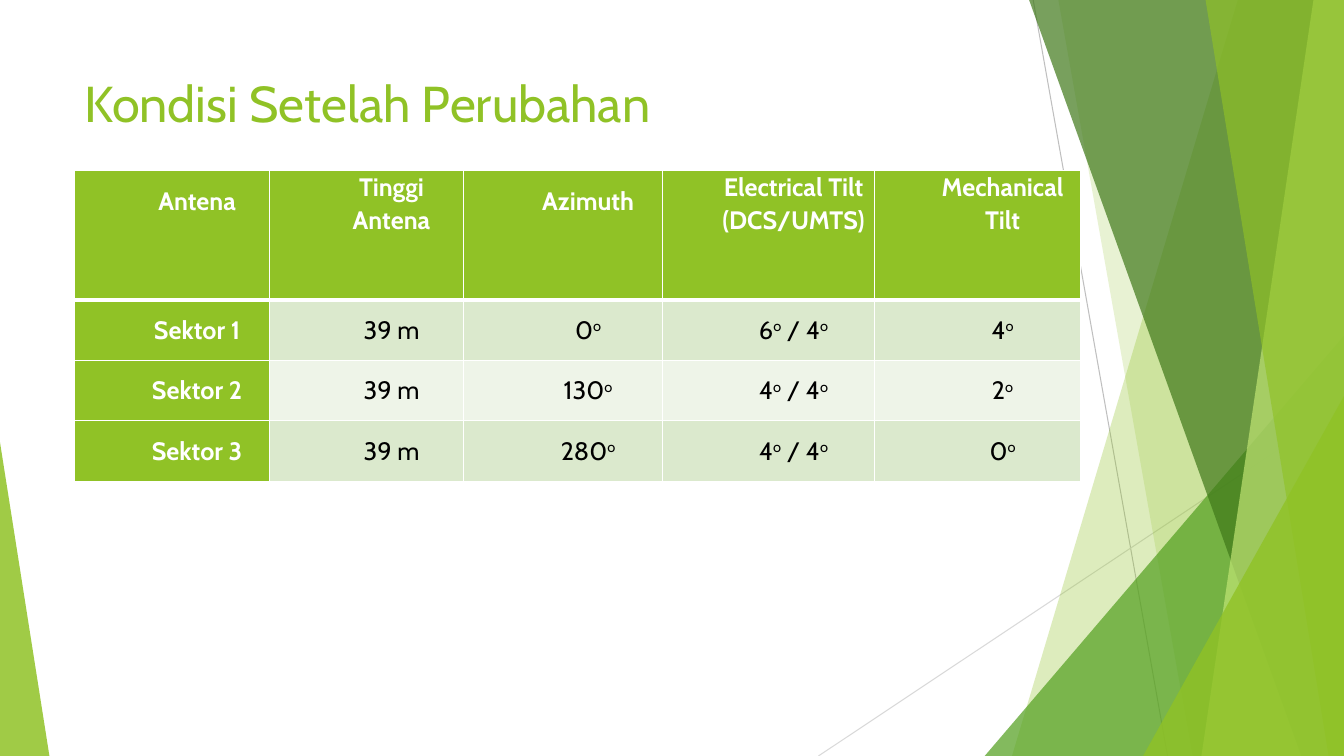
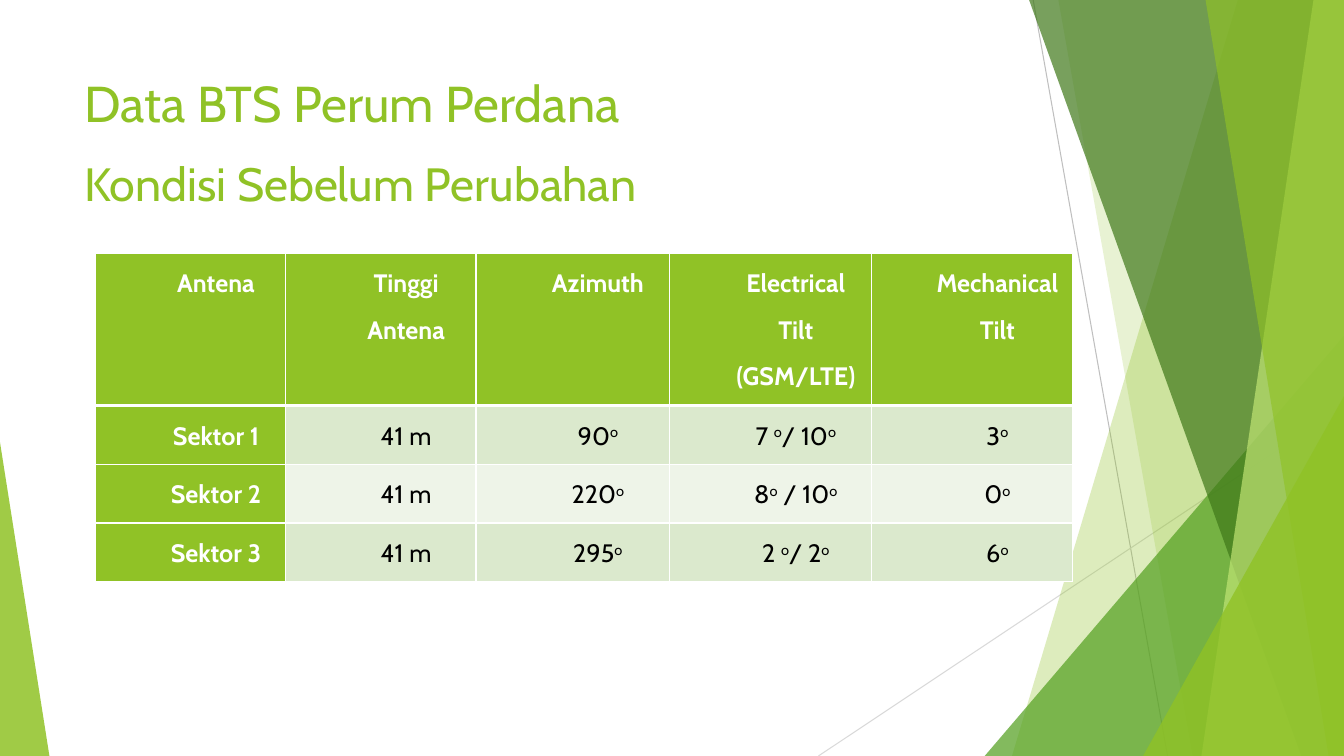
"""Build two slides of antenna settings before and after a change."""
from dataclasses import dataclass

from lxml.etree import SubElement
from pptx import Presentation
from pptx.dml.color import RGBColor
from pptx.enum.shapes import MSO_CONNECTOR as Connector, MSO_SHAPE as Preset
from pptx.enum.text import MSO_ANCHOR as Anchor, MSO_AUTO_SIZE as AutoSize, PP_ALIGN as Align
from pptx.oxml.ns import qn
from pptx.util import Pt


@dataclass(frozen=True)
class Theme:
    """Colours, font and type sizes."""
    font: str = "Cabin"
    green: str = "90C226"
    mid_green: str = "54A021"
    dark_green: str = "3F7819"
    light_green: str = "C0E474"
    white: str = "FFFFFF"
    black: str = "000000"
    stripes: tuple = ("DBE9CD", "EEF4E8")
    ray: str = "BFBFBF"
    pale_ray: str = "D9D9D9"
    title_size: float = 36
    subtitle_size: float = 33.3
    table_size: float = 18


@dataclass(frozen=True)
class Band:
    """A full-height band from the right edge to a slanted left side."""
    top_x: float
    bottom_x: float
    color: str
    opacity: int


@dataclass(frozen=True)
class Corner:
    """A right triangle standing on the bottom edge."""
    left: float
    top: float
    width: float
    peak: int
    color: str
    opacity: int


THEME = Theme()
WIDTH, HEIGHT = 960, 540
MARGIN = 53.3
DEGREE = "º"

RAYS = [
    ((738, 0), (834, HEIGHT), THEME.ray),
    ((WIDTH, 290), (584.6, HEIGHT), THEME.pale_ray),
]
FACETS = [
    Band(884.2, 722.9, THEME.green, 30),
    Band(756, 851.8, THEME.green, 20),
    Corner(703.4, 239.8, 256.6, 1, THEME.mid_green, 72),
    Band(735.1, 929.5, THEME.dark_green, 70),
    Band(938.2, 858.2, THEME.light_green, 70),
    Band(861.1, 949, THEME.green, 65),
    Corner(816.5, 283, 143.5, 1, THEME.green, 80),
    Corner(0, 316, 35.3, 0, THEME.green, 85),
]
SLIDES = [
    {
        "title": ("Kondisi Setelah Perubahan", 448.6, 52.6),
        "table_at": (MARGIN, 121.7),
        "columns": (139, 138.8, 142, 151.6, 147),
        "header_height": 92.4,
        "row_height": 43.2,
        "header_spacing": (1.5, 1.07, 1.5, 1.07, 1.07),
        "rows": [
            ("Antena", "Tinggi Antena", "Azimuth", "Electrical Tilt (DCS/UMTS)", "Mechanical Tilt"),
            ("Sektor 1", "39 m", "0º", "6º / 4º", "4º"),
            ("Sektor 2", "39 m", "130º", "4º / 4º", "2º"),
            ("Sektor 3", "39 m", "280º", "4º / 4º", "0º"),
        ],
    },
    {
        "title": ("Data BTS Perum Perdana", 437.8, 59),
        "subtitle": "Kondisi Sebelum Perubahan",
        "table_at": (68.4, 180.9),
        "columns": (135.8, 135.8, 138.2, 144.6, 143.4),
        "header_height": 108.7,
        "row_height": 42,
        "header_spacing": (1.5,) * 5,
        "rows": [
            ("Antena", "Tinggi Antena", "Azimuth", "Electrical Tilt (GSM/LTE)", "Mechanical Tilt"),
            ("Sektor 1", "41 m", "90º", "7 º/ 10º", "3º"),
            ("Sektor 2", "41 m", "220º", "8º / 10º", "0º"),
            ("Sektor 3", "41 m", "295º", "2 º/ 2º", "6º"),
        ],
    },
]


def style_font(font, size, color, bold=False):
    font.name, font.size, font.bold = THEME.font, Pt(size), bold
    font.color.rgb = RGBColor.from_string(color)


def paint(shape, color, opacity):
    shape.shadow.inherit = False
    shape.line.fill.background()
    shape.fill.solid()
    shape.fill.fore_color.rgb = RGBColor.from_string(color)
    tint = shape.element.spPr.find(qn("a:solidFill"))[0]
    SubElement(tint, qn("a:alpha")).set("val", str(opacity * 1000))


def draw_ray(shapes, start, end, color):
    ray = shapes.add_connector(Connector.STRAIGHT, *map(Pt, start + end))
    ray.line.color.rgb = RGBColor.from_string(color)
    ray.line.width = Pt(0.75)
    SubElement(ray.element.spPr, qn("a:effectLst"))
    return ray


def draw_facet(shapes, facet):
    if isinstance(facet, Band):
        outline = shapes.build_freeform(Pt(facet.top_x), 0)
        corners = [(WIDTH, 0), (WIDTH, HEIGHT), (facet.bottom_x, HEIGHT)]
        outline.add_line_segments([(Pt(x), Pt(y)) for x, y in corners])
        shape = outline.convert_to_shape()
    else:
        box = (facet.left, facet.top, facet.width, HEIGHT - facet.top)
        shape = shapes.add_shape(Preset.ISOSCELES_TRIANGLE, *map(Pt, box))
        shape.adjustments[0] = facet.peak
    paint(shape, facet.color, facet.opacity)
    return shape


def decorate_layout(layout, shapes):
    """Draw the backdrop and hand it to the layout that all slides use."""
    for placeholder in list(layout.placeholders):
        if placeholder.placeholder_format.idx:
            layout.shapes.element.remove(placeholder.element)
    backdrop = [draw_ray(shapes, *ray) for ray in RAYS]
    backdrop += [draw_facet(shapes, facet) for facet in FACETS]
    for part in backdrop:
        layout.shapes.element.append(part.element)


def write_heading(heading, text, box, size):
    heading.left, heading.top, heading.width, heading.height = map(Pt, box)
    frame = heading.text_frame
    frame.text = text
    frame.word_wrap = True
    frame.auto_size = AutoSize.NONE
    frame.vertical_anchor = Anchor.TOP
    paragraph = frame.paragraphs[0]
    paragraph.alignment = Align.LEFT
    style_font(paragraph.font, size, THEME.green)


def set_borders(cell, top, bottom):
    properties = cell._tc.get_or_add_tcPr()
    widths = {"a:lnL": 1, "a:lnR": 1, "a:lnT": top, "a:lnB": bottom}
    for position, (side, width) in enumerate(widths.items()):
        border = SubElement(properties, qn(side))
        border.set("w", str(Pt(width)))
        fill = SubElement(border, qn("a:solidFill"))
        SubElement(fill, qn("a:srgbClr")).set("val", THEME.white)
        properties.insert(position, border)


def write_cell(cell, text, fill, color, bold, spacing):
    cell.margin_left = cell.margin_right = Pt(5.4)
    cell.margin_top = cell.margin_bottom = 0
    cell.vertical_anchor = Anchor.TOP
    cell.fill.solid()
    cell.fill.fore_color.rgb = RGBColor.from_string(fill)
    paragraph = cell.text_frame.paragraphs[0]
    paragraph.alignment = Align.CENTER
    paragraph.line_spacing = spacing
    paragraph._p.get_or_add_pPr().set("marL", str(Pt(36)))
    style_font(paragraph.font, THEME.table_size, color, bold)
    for index, piece in enumerate(text.split(DEGREE)):
        if index:
            degree = paragraph.add_run()
            degree.text = "o"
            degree._r.get_or_add_rPr().set("baseline", "30000")
        if piece:
            paragraph.add_run().text = piece


def add_antenna_table(shapes, content):
    rows, columns = content["rows"], content["columns"]
    heights = [content["header_height"]] + [content["row_height"]] * (len(rows) - 1)
    box = (*content["table_at"], sum(columns), sum(heights))
    table = shapes.add_table(len(rows), len(columns), *map(Pt, box)).table
    table.first_col = True
    for column, width in zip(table.columns, columns):
        column.width = Pt(width)
    for row, height in zip(table.rows, heights):
        row.height = Pt(height)
    for r, texts in enumerate(rows):
        for c, text in enumerate(texts):
            cell = table.cell(r, c)
            label = r == 0 or c == 0
            fill = THEME.green if label else THEME.stripes[(r - 1) % 2]
            color = THEME.white if label else THEME.black
            spacing = 1.5 if r else content["header_spacing"][c]
            write_cell(cell, text, fill, color, label, spacing)
            set_borders(cell, top=3 if r == 1 else 1, bottom=1 if r else 3)


def main():
    deck = Presentation()
    deck.slide_width, deck.slide_height = Pt(WIDTH), Pt(HEIGHT)
    layout = deck.slide_layouts.get_by_name("Title Only")
    for number, content in enumerate(SLIDES):
        shapes = deck.slides.add_slide(layout).shapes
        if number == 0:
            decorate_layout(layout, shapes)
        title, width, height = content["title"]
        top = 48.2
        write_heading(shapes.title, title, (MARGIN, top, width, height), THEME.title_size)
        if "subtitle" in content:
            box = (MARGIN, top + height, width, height)
            subtitle = shapes.add_textbox(*map(Pt, box))
            write_heading(subtitle, content["subtitle"], box, THEME.subtitle_size)
        add_antenna_table(shapes, content)
    deck.save("out.pptx")


if __name__ == "__main__":
    main()
